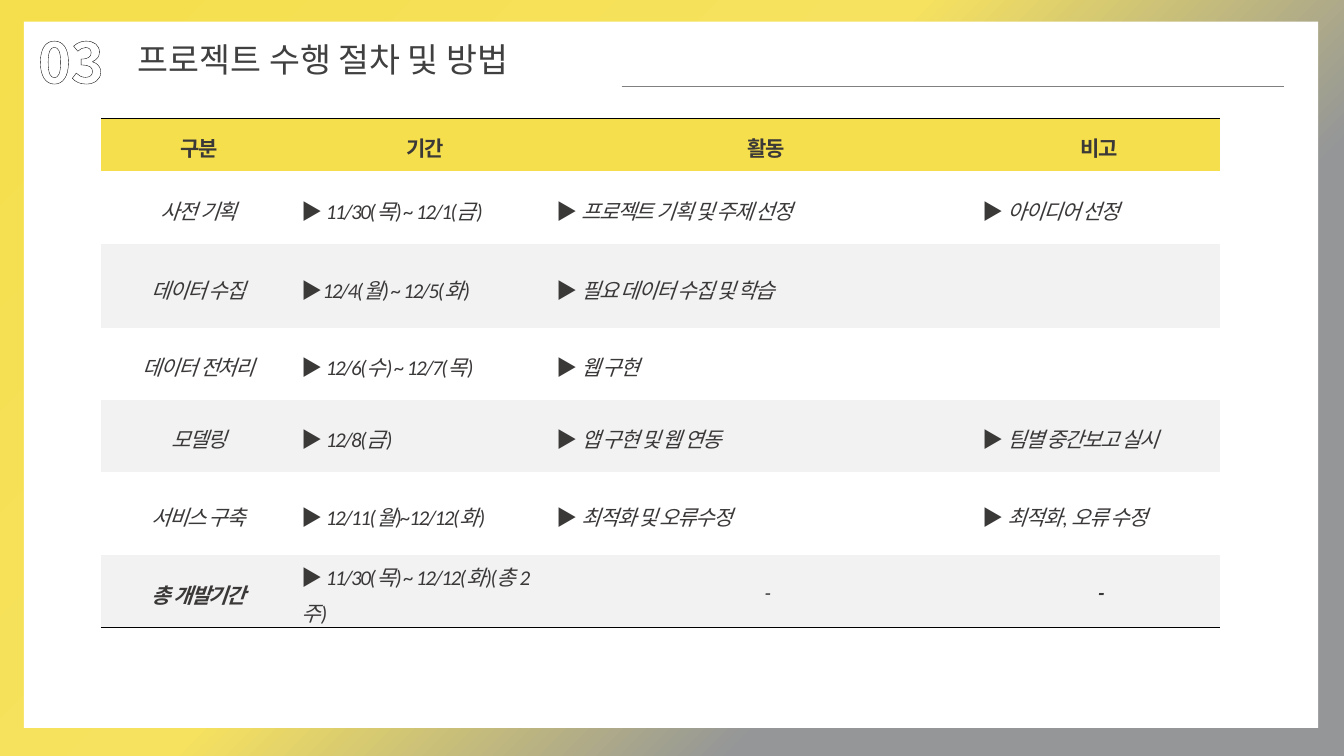
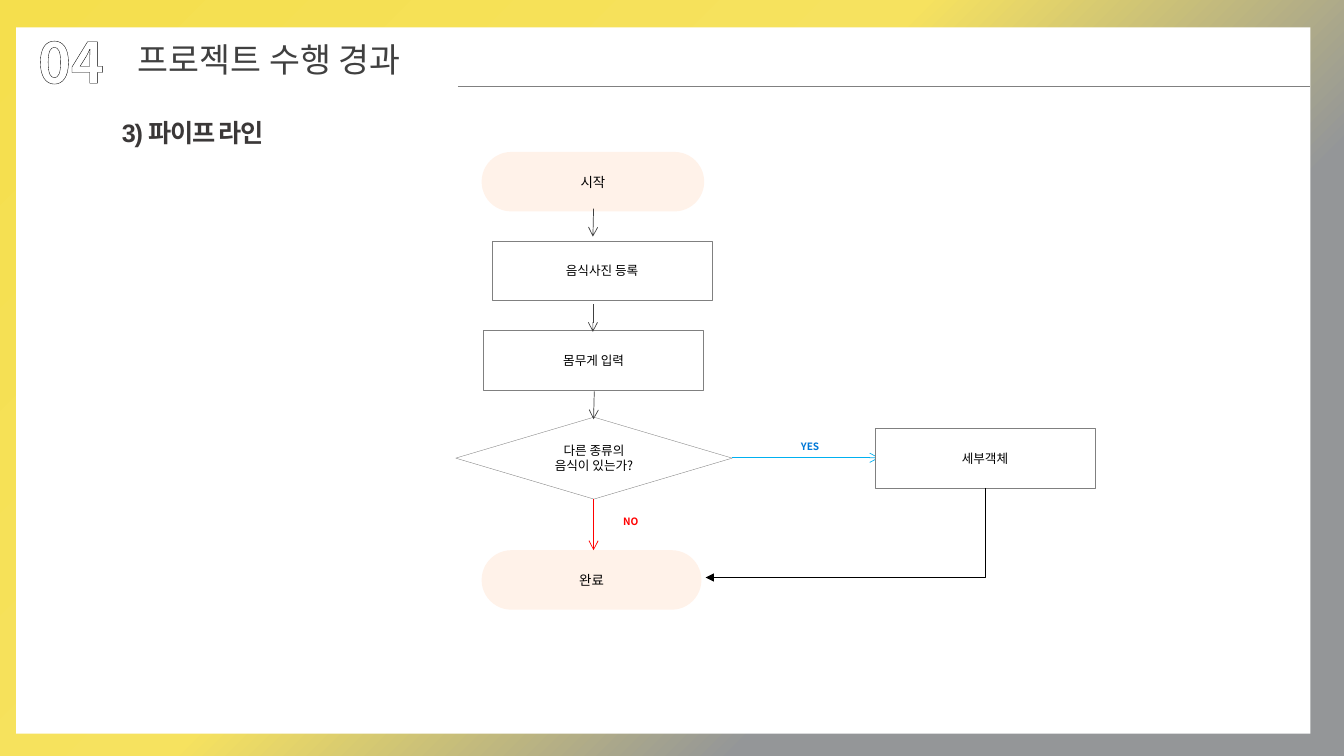
"""Build two project report slides: a schedule table and a pipeline flowchart."""
from dataclasses import dataclass
from typing import Optional

from lxml.etree import SubElement
from pptx import Presentation
from pptx.dml.color import RGBColor
from pptx.enum.dml import MSO_PATTERN
from pptx.enum.shapes import MSO_CONNECTOR as CONN, MSO_SHAPE as SHAPE
from pptx.enum.text import MSO_ANCHOR as ANCHOR, PP_ALIGN as ALIGN
from pptx.oxml.ns import qn
from pptx.util import Pt

KOREAN, BODY, HEAD = "Noto Sans CJK KR", "Calibri", "Arial"
YELLOW, WHITE, BAND, PEACH = "F5DF4D", "FFFFFF", "F2F2F2", "FFF2E9"
INK, DARK, GRAY, BLACK = "3B3838", "404040", "808080", "000000"
SILVER, RED, SKY, BLUE = "939597", "FF0000", "00B0F0", "0078D7"
BACKDROP = ((0, YELLOW, 100), (44, "F6E25F", 70), (71, "949698", 70), (100, SILVER, 100))
NO_STYLE = "{2D5ABB26-0587-4C30-8999-92F81FD0307C}"


@dataclass(frozen=True)
class Style:
    size: float
    color: str = BLACK
    font: str = KOREAN
    bold: bool = False
    italic: bool = False
    spacing: float = 0
    outline: Optional[str] = None
    outline_width: float = 1


@dataclass(frozen=True)
class Entry:
    text: str = ""
    font: str = BODY
    marker: str = "▶ "
    bold: bool = False


@dataclass(frozen=True)
class Node:
    text: str
    kind: SHAPE
    left: float
    top: float
    width: float = 157
    height: float = 42.5


@dataclass(frozen=True)
class Link:
    x1: float
    y1: float
    x2: float
    y2: float
    color: str = DARK


@dataclass(frozen=True)
class Label:
    text: str
    left: float
    top: float
    width: float
    height: float
    style: Style


TITLE = Style(24, DARK)
NUMBER = Style(40, INK, bold=True, outline=BLACK, outline_width=1.25)
MARKER = Style(15, INK, bold=True, spacing=-1, outline=SILVER)
DASH = Entry("-", marker="")
COLUMNS = (140.4, 182.4, 304.4, 172)
ROWS = (37.5, 52.5, 59.5, 51.5, 51.5, 59.5, 51.5)
HEADERS = ("구분", "기간", "활동", "비고")
SCHEDULE = (
    (Entry("사전 기획"), Entry("11/30(목) ~ 12/1(금)"),
     Entry("프로젝트 기획 및 주제 선정"), Entry("아이디어 선정")),
    (Entry("데이터 수집"), Entry("12/4(월) ~ 12/5(화)", marker="▶"),
     Entry("필요 데이터 수집 및 학습", HEAD), Entry()),
    (Entry("데이터 전처리"), Entry("12/6(수) ~ 12/7(목)"), Entry("웹 구현", HEAD), Entry()),
    (Entry("모델링"), Entry("12/8(금)"), Entry("앱 구현 및 웹 연동"),
     Entry("팀별 중간보고 실시", HEAD)),
    (Entry("서비스 구축"), Entry("12/11(월)~12/12(화)"),
     Entry("최적화 및 오류수정", HEAD), Entry("최적화, 오류 수정")),
    (Entry("총 개발기간", bold=True), Entry("11/30(목) ~ 12/12(화)(총 2주)"),
     DASH, Entry("-", marker="", bold=True)),
)
NODES = (
    Node("시작", SHAPE.ROUNDED_RECTANGLE, 344, 108.5, 159),
    Node("음식사진 등록", SHAPE.RECTANGLE, 351.5, 172),
    Node("몸무게 입력", SHAPE.RECTANGLE, 345.5, 236),
    Node("다른 종류의\n음식이 있는가?", SHAPE.FLOWCHART_DECISION, 325.5, 298, 197.5, 58.5),
    Node("완료", SHAPE.ROUNDED_RECTANGLE, 344, 393),
)
DETAIL = Node("세부객체", SHAPE.RECTANGLE, 625, 306)
LINKS = (
    Link(424, 149, 423.5, 169),
    Link(423.5, 217.5, 423.5, 237),
    Link(424.5, 279.5, 424, 299.5),
    Link(424, 356.5, 424, 393, RED),
    Link(523, 327, 628, 327, SKY),
)
LABELS = (
    Label("YES", 565, 311, 54, 16, Style(7.2, BLUE, bold=True)),
    Label("NO", 438, 364.5, 37.5, 16, Style(7.2, RED, bold=True)),
    Label("3) 파이프 라인", 80, 80.5, 705, 29, Style(18, INK, HEAD, bold=True, spacing=-1)),
)


def rgb(color: str) -> RGBColor:
    return RGBColor.from_string(color)


def format_run(r, style: Style) -> None:
    font = r.font
    font.size, font.name = Pt(style.size), style.font
    font.bold, font.italic = style.bold, style.italic
    font.color.rgb = rgb(style.color)
    props = r._r.get_or_add_rPr()
    SubElement(props, qn("a:ea")).set("typeface", KOREAN)
    if style.spacing:
        props.set("spc", str(int(style.spacing * 100)))
    if style.outline:
        ln = SubElement(props, qn("a:ln"), w=str(Pt(style.outline_width)))
        fill = SubElement(ln, qn("a:solidFill"))
        SubElement(fill, qn("a:srgbClr"), val=style.outline)
        props.insert(0, ln)


def write(tf, text: str, style: Style, align=ALIGN.LEFT) -> None:
    tf.text = text
    for p in tf.paragraphs:
        p.alignment = align
        for r in p.runs:
            format_run(r, style)


def add_text(s, label: Label, wrap: bool = True):
    sp = s.shapes.add_textbox(Pt(label.left), Pt(label.top), Pt(label.width), Pt(label.height))
    tf = sp.text_frame
    tf.word_wrap = wrap
    write(tf, label.text, label.style)
    return tf


def add_box(s, kind, left: float, top: float, width: float, height: float,
            fill: str, line: Optional[str] = None):
    sp = s.shapes.add_shape(kind, Pt(left), Pt(top), Pt(width), Pt(height))
    sp.shadow.inherit = False
    sp.fill.solid()
    sp.fill.fore_color.rgb = rgb(fill)
    if line:
        sp.line.color.rgb, sp.line.width = rgb(line), Pt(0.25)
    else:
        sp.line.fill.background()
    return sp


def add_line(s, link: Link, width: float = 0.5, head: Optional[str] = None, kind=CONN.STRAIGHT):
    cxn = s.shapes.add_connector(kind, Pt(link.x1), Pt(link.y1), Pt(link.x2), Pt(link.y2))
    cxn.line.color.rgb, cxn.line.width = rgb(link.color), Pt(width)
    props = cxn.element.spPr
    SubElement(props, qn("a:effectLst"))
    if head:
        SubElement(props.find(qn("a:ln")), qn("a:tailEnd"), type=head)
    return cxn


def add_down_left_arrow(s, x1: float, y1: float, x2: float, y2: float) -> None:
    mid_x, mid_y = (x1 + x2) / 2, (y1 + y2) / 2
    half_w, half_h = abs(y2 - y1) / 2, abs(x2 - x1) / 2
    turned = Link(mid_x - half_w, mid_y - half_h, mid_x + half_w, mid_y + half_h, BLACK)
    cxn = add_line(s, turned, head="triangle", kind=CONN.ELBOW)
    props = cxn.element.spPr
    props.find(qn("a:xfrm")).set("rot", str(90 * 60000))
    props.find(qn("a:prstGeom")).set("prst", "bentConnector2")


def add_slide(prs, number: str, title: str, left: float, top: float,
              rule_start: float, rule_end: float):
    s = prs.slides.add_slide(prs.slide_layouts[6])
    fill = s.background.fill
    fill.gradient()
    fill.gradient_angle = 315
    stops = s.element.find(".//" + qn("a:gsLst"))
    for stop in list(stops):
        stops.remove(stop)
    for pos, color, alpha in BACKDROP:
        stop = SubElement(stops, qn("a:gs"), pos=str(pos * 1000))
        clr = SubElement(stop, qn("a:srgbClr"), val=color)
        if alpha < 100:
            SubElement(clr, qn("a:alpha"), val=str(alpha * 1000))
    add_box(s, SHAPE.RECTANGLE, left, top, 924.5, 504.5, WHITE)
    tf = add_text(s, Label(number, 20, 16, 91.5, 55.5, NUMBER))
    pattern = tf.paragraphs[0].runs[0].font.fill
    pattern.patterned()
    pattern.pattern = MSO_PATTERN.DARK_UPWARD_DIAGONAL
    pattern.fore_color.rgb, pattern.back_color.rgb = rgb(INK), rgb(WHITE)
    add_text(s, Label(title, 91.5, 24.5, 330, 36, TITLE), wrap=False)
    add_line(s, Link(rule_start, 62, rule_end, 62, GRAY), 1)
    return s


def add_border(cell, side: str) -> None:
    props = cell._tc.get_or_add_tcPr()
    ln = SubElement(props, qn(side), w=str(Pt(0.75)))
    SubElement(SubElement(ln, qn("a:solidFill")), qn("a:srgbClr"), val=BLACK)
    props.insert(0, ln)


def fill_cell(cell, entry: Entry, style: Style, fill: str, centered: bool) -> None:
    cell.fill.solid()
    cell.fill.fore_color.rgb = rgb(fill)
    cell.vertical_anchor = ANCHOR.MIDDLE
    if not centered:
        cell.margin_left, cell.margin_right = Pt(3), 0
        cell.margin_top = cell.margin_bottom = 0
    if not entry.text:
        return
    p = cell.text_frame.paragraphs[0]
    p.line_spacing = 1.2
    p.alignment = ALIGN.CENTER if centered or not entry.marker else ALIGN.LEFT
    parts = [(entry.text, style)]
    if entry.marker and not centered:
        parts.insert(0, (entry.marker, MARKER))
    for text, part_style in parts:
        r = p.add_run()
        r.text = text
        format_run(r, part_style)


def add_schedule(s) -> None:
    frame = s.shapes.add_table(len(ROWS), len(COLUMNS), Pt(72), Pt(84.5),
                               Pt(sum(COLUMNS)), Pt(sum(ROWS)))
    frame.element.find(".//" + qn("a:tableStyleId")).text = NO_STYLE
    table = frame.table
    table.first_row = table.horz_banding = False
    for column, width in zip(table.columns, COLUMNS):
        column.width = Pt(width)
    for row, height in zip(table.rows, ROWS):
        row.height = Pt(height)
    for col, text in enumerate(HEADERS):
        cell = table.cell(0, col)
        fill_cell(cell, Entry(text), Style(15, INK, BODY, bold=True, spacing=-1), YELLOW, True)
        add_border(cell, "a:lnT")
    for row, entries in enumerate(SCHEDULE, 1):
        for col, entry in enumerate(entries):
            style = Style(15, INK, entry.font, entry.bold, True, -1)
            cell = table.cell(row, col)
            fill_cell(cell, entry, style, WHITE if row % 2 else BAND, col == 0)
            if row == len(SCHEDULE):
                add_border(cell, "a:lnB")


def add_node(s, node: Node) -> None:
    rounded = node.kind == SHAPE.ROUNDED_RECTANGLE
    sp = add_box(s, node.kind, node.left, node.top, node.width, node.height,
                 PEACH if rounded else WHITE, None if rounded else GRAY)
    tf = sp.text_frame
    tf.word_wrap, tf.vertical_anchor = False, ANCHOR.MIDDLE
    if rounded:
        sp.adjustments[0] = 0.5
    elif node.kind == SHAPE.RECTANGLE:
        tf.margin_left = tf.margin_right = tf.margin_top = tf.margin_bottom = 0
    write(tf, node.text, Style(9.6 if rounded else 9), ALIGN.CENTER)


def add_pipeline(s) -> None:
    for node in NODES:
        add_node(s, node)
    for link in LINKS:
        add_line(s, link, head="arrow")
    add_node(s, DETAIL)
    add_down_left_arrow(s, 703.5, 348.5, 504, 412.5)
    for label in LABELS:
        add_text(s, label)


def main() -> None:
    prs = Presentation()
    prs.slide_width, prs.slide_height = Pt(960), Pt(540)
    add_schedule(add_slide(prs, "03", "프로젝트 수행 절차 및 방법", 17, 15.5, 444, 917))
    add_pipeline(add_slide(prs, "04", "프로젝트 수행 경과", 11.5, 19.5, 327, 936))
    prs.save("out.pptx")


if __name__ == "__main__":
    main()
